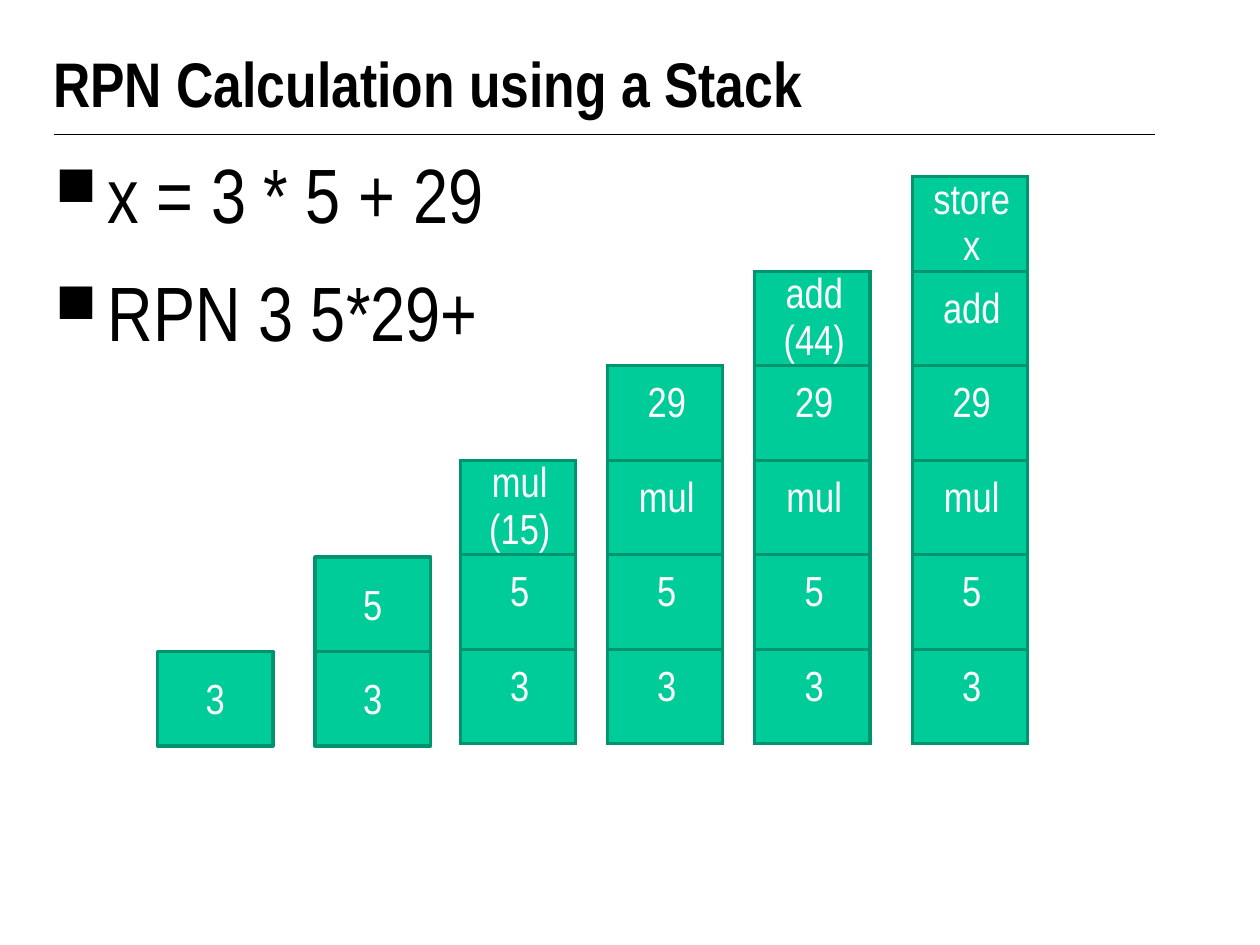
import pptx
import pptx.util
import pptx.dml.color
import pptx.enum.shapes
import pptx.enum.text
import pptx.oxml.ns
from lxml import etree

Pt = pptx.util.Pt
RGB = pptx.dml.color.RGBColor
qn = pptx.oxml.ns.qn
ALIGN = pptx.enum.text.PP_ALIGN
BLACK, WHITE = RGB(0, 0, 0), RGB(255, 255, 255)
GREEN, EDGE = RGB(0x00, 0xCC, 0x99), RGB(0x00, 0x94, 0x6E)
FONT = "Arial Narrow"

TITLE = "RPN Calculation using a Stack"
BULLETS = [(83, ["x = 3 * 5 + ", "29"]), (150, ["RPN 3 ", "5*29+"])]
# Left edge and cells from top to bottom; a tuple is a cell of two lines.
BOXES = [(90, ["3"]), (180, ["5", "3"])]
TABLES = [
    (263, [("mul", "(15)"), "5", "3"]),
    (347, ["29", "mul", "5", "3"]),
    (431.25, [("add", "(44)"), "29", "mul", "5", "3"]),
    (521.25, [("store", "x"), "add", "29", "mul", "5", "3"]),
]
WIDE, HIGH, BASE = 66, 54, 425
INSET = 12.24

deck = pptx.Presentation()
deck.slide_width, deck.slide_height = Pt(720), Pt(540)
slide = deck.slides.add_slide(deck.slide_layouts[6])
shapes = slide.shapes


def put(para, text, size, color, bold=False):
    run = para.add_run()
    run.text = text
    font = run.font
    font.name, font.size, font.bold = FONT, Pt(size), bold
    font.color.rgb = color


def pad(part, top):
    part.margin_left = part.margin_right = part.margin_bottom = 0
    part.margin_top = Pt(top)


def label(top, wide, high):
    """Add an empty text box and return its first paragraph."""
    frame = shapes.add_textbox(Pt(30.5), Pt(top), Pt(wide), Pt(high)).text_frame
    frame.word_wrap = True
    pad(frame, 1)
    para = frame.paragraphs[0]
    para.space_before = Pt(1)
    return para


def mark(para):
    """Give the paragraph a square bullet with a hanging indent."""
    props = para._p.get_or_add_pPr()
    props.set("marL", str(Pt(31)))
    props.set("indent", str(Pt(-30)))
    etree.SubElement(props, qn("a:buSzPct")).set("val", "73000")
    etree.SubElement(props, qn("a:buChar")).set("char", "■")


def border(cell):
    props = cell._tc.get_or_add_tcPr()
    for spot, side in enumerate(("lnL", "lnR", "lnT", "lnB")):
        line = etree.Element(qn("a:" + side), w=str(Pt(2.25)))
        fill = etree.SubElement(line, qn("a:solidFill"))
        etree.SubElement(fill, qn("a:srgbClr")).set("val", str(EDGE))
        props.insert(spot, line)


def center(para, text):
    para.alignment = ALIGN.CENTER
    para.space_before = Pt(12.1)
    put(para, text, 24, WHITE)


def box(left, top, text):
    shape = shapes.add_shape(pptx.enum.shapes.MSO_SHAPE.RECTANGLE,
                             Pt(left), Pt(top), Pt(WIDE), Pt(HIGH))
    shape.shadow.inherit = False
    shape.fill.solid()
    shape.fill.fore_color.rgb = GREEN
    shape.line.color.rgb, shape.line.width = EDGE, Pt(2)
    frame = shape.text_frame
    frame.vertical_anchor = pptx.enum.text.MSO_ANCHOR.TOP
    pad(frame, INSET)
    center(frame.paragraphs[0], text)


def fill(cell, text):
    cell.fill.solid()
    cell.fill.fore_color.rgb = GREEN
    border(cell)
    frame = cell.text_frame
    para = frame.paragraphs[0]
    if isinstance(text, str):
        pad(cell, INSET)
        center(para, text)
        para._p.get_or_add_pPr().set("marL", str(Pt(2)))
        return
    pad(cell, 0)
    for spot, (part, gap) in enumerate(zip(text, (26.4, 26.6))):
        para = frame.add_paragraph() if spot else para
        para.alignment = ALIGN.CENTER
        para.line_spacing = Pt(gap)
        para._p.get_or_add_pPr().set("marL", str(Pt(2)))
        put(para, part, 24, WHITE)


rule = shapes.add_connector(pptx.enum.shapes.MSO_CONNECTOR.STRAIGHT,
                            Pt(31), Pt(77), Pt(660), Pt(77))
rule.line.color.rgb, rule.line.width = BLACK, Pt(0.75)
etree.SubElement(rule._element.spPr, qn("a:effectLst"))

put(label(24.5, 570, 45), TITLE, 36, BLACK, True)
for top, parts in BULLETS:
    para = label(top, 296, 54)
    mark(para)
    for part in parts:
        put(para, part, 44, BLACK)

for left, items in BOXES:
    for row, text in enumerate(items):
        box(left, BASE + 1.25 - HIGH * (len(items) - row), text)

for left, items in TABLES:
    count = len(items)
    table = shapes.add_table(count, 1, Pt(left), Pt(BASE - HIGH * count),
                             Pt(WIDE), Pt(HIGH * count)).table
    table.first_row = table.horz_banding = False
    for row, text in enumerate(items):
        fill(table.cell(row, 0), text)

deck.save("out.pptx")
